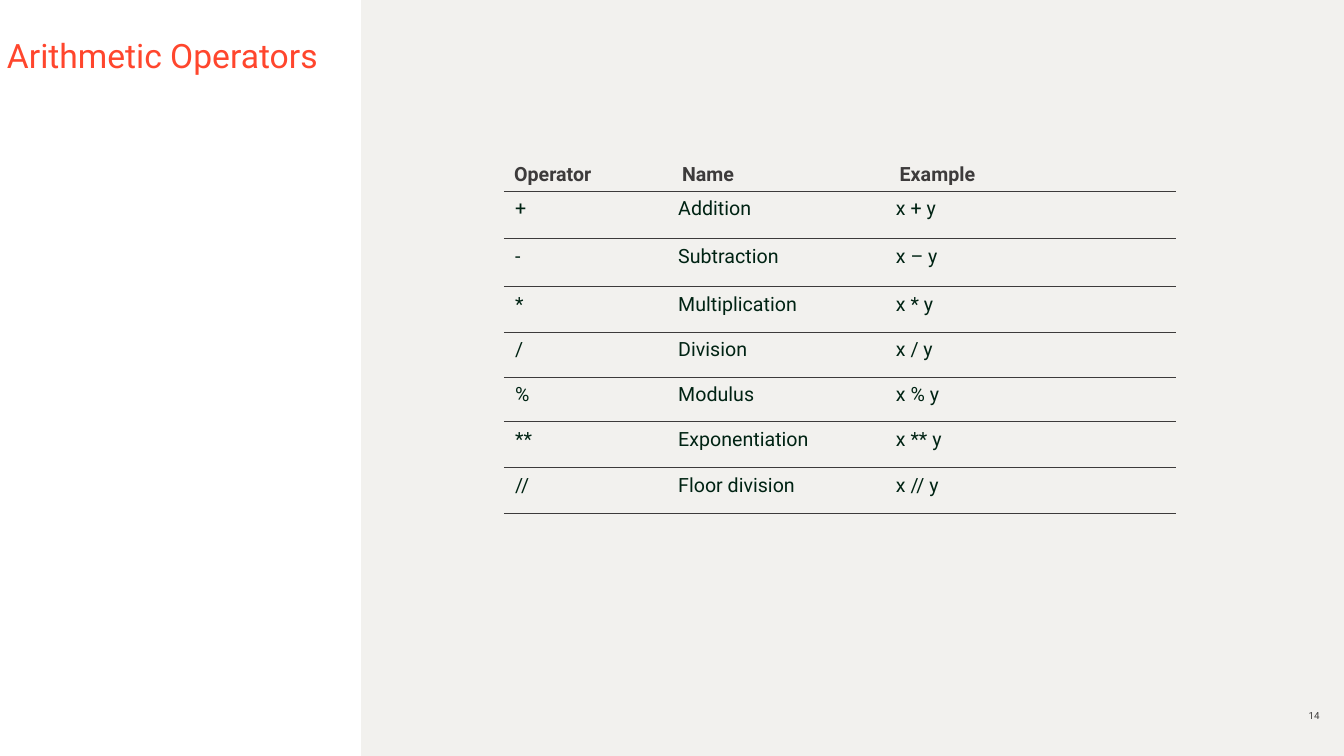
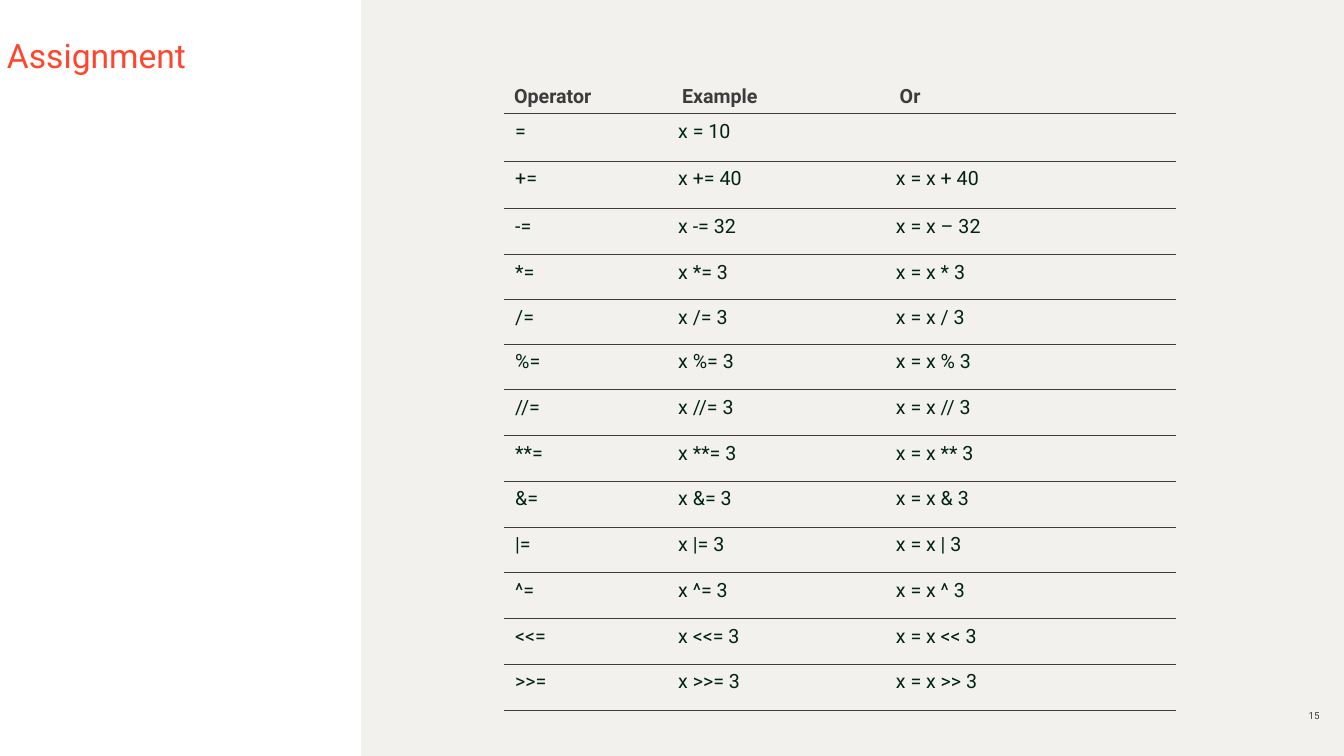
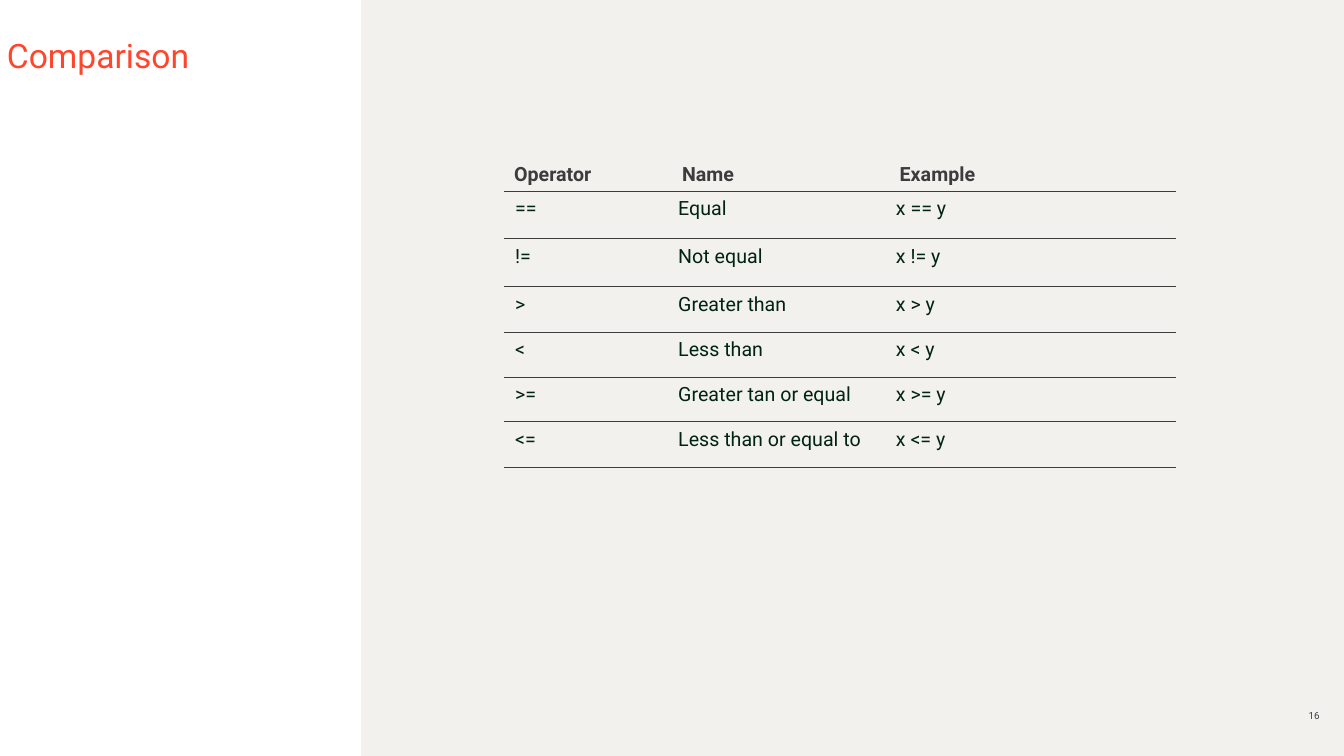
from lxml.etree import SubElement
from pptx import Presentation
from pptx.dml.color import RGBColor
from pptx.enum.shapes import MSO_SHAPE
from pptx.enum.text import MSO_ANCHOR, PP_ALIGN
from pptx.oxml.ns import qn
from pptx.util import Pt

WIDE, HIGH = 960, 540
COLORS = {"panel": "F2F1EE", "title": "FF462D", "head": "3D3B3B", "body": "002313"}
FONT = "Roboto"
PLAIN = "{2D5ABB26-0587-4C30-8999-92F81FD0307C}"  # table style without grid
COLS = [120, 155.5, 84.5, 120]
HEAD = 67.7
ROWS = [34, 34, 32.7, 32.2, 31.7]
REST = 32.7

MATH = [
    ("Operator", "Name", "Example"),
    ("+", "Addition", "x + y"),
    ("-", "Subtraction", "x – y"),
    ("*", "Multiplication", "x * y"),
    ("/", "Division", "x / y"),
    ("%", "Modulus", "x % y"),
    ("**", "Exponentiation", "x ** y"),
    ("//", "Floor division", "x // y"),
]
ASSIGN = [
    ("Operator", "Example", "Or"),
    ("=", "x = 10", ""),
    ("+=", "x += 40", "x = x + 40"),
    ("-=", "x -= 32", "x = x – 32"),
] + [
    (f"{sign}=", f"x {sign}= 3", f"x = x {sign} 3")
    for sign in ("*", "/", "%", "//", "**", "&", "|", "^", "<<", ">>")
]
COMPARE = [
    ("Operator", "Name", "Example"),
    ("==", "Equal", "x == y"),
    ("!=", "Not equal", "x != y"),
    (">", "Greater than", "x > y"),
    ("<", "Less than", "x < y"),
    (">=", "Greater tan or equal", "x >= y"),
    ("<=", "Less than or equal to", "x <= y"),
]


class Deck:
    def __init__(self):
        self.show = Presentation()
        self.show.slide_width, self.show.slide_height = Pt(WIDE), Pt(HIGH)
        self.slide = None

    def start(self, title, number):
        self.slide = self.show.slides.add_slide(self.show.slide_layouts[5])
        self.panel()
        self.title(title)
        self.number(number)

    def label(self, frame, text, size, color, bold=False, align=PP_ALIGN.LEFT):
        frame.text = text
        para = frame.paragraphs[0]
        para.alignment = align
        for run in para.runs:
            font = run.font
            font.name, font.size, font.bold = FONT, Pt(size), bold
            font.color.rgb = RGBColor.from_string(COLORS[color])

    def frame(self, shape, anchor):
        """Return the shape's text frame, wrapped and without margins."""
        frame = shape.text_frame
        frame.word_wrap = True
        frame.vertical_anchor = anchor
        frame.margin_left = frame.margin_right = 0
        frame.margin_top = frame.margin_bottom = 0
        return frame

    def panel(self):
        left = 258
        panel = self.slide.shapes.add_shape(
            MSO_SHAPE.RECTANGLE, Pt(left), 0, Pt(WIDE - left), Pt(HIGH))
        panel.shadow.inherit = False
        panel.fill.solid()
        panel.fill.fore_color.rgb = RGBColor.from_string(COLORS["panel"])
        panel.line.fill.background()
        panel.element.getparent().insert(2, panel.element)  # behind the title

    def title(self, text):
        shape = self.slide.shapes.title
        shape.left, shape.top = Pt(5), Pt(23)
        shape.width, shape.height = Pt(253), Pt(33)
        self.label(self.frame(shape, MSO_ANCHOR.MIDDLE), text, 24, "title")

    def number(self, value):
        box = self.slide.shapes.add_textbox(Pt(922), Pt(497.5), Pt(20.5), Pt(17.5))
        frame = self.frame(box, MSO_ANCHOR.BOTTOM)
        self.label(frame, str(value), 7, "head", align=PP_ALIGN.RIGHT)

    def rule(self, cell):
        """Draw the line under a cell."""
        props = cell._tc.get_or_add_tcPr()
        line = SubElement(props, qn("a:lnB"), w=str(Pt(0.75)))
        fill = SubElement(line, qn("a:solidFill"))
        SubElement(fill, qn("a:srgbClr"), val=COLORS["head"])
        props.insert(0, line)

    def cell(self, cell, text, head, first):
        cell.fill.background()
        self.rule(cell)
        if head:
            cell.vertical_anchor = MSO_ANCHOR.BOTTOM
        else:
            cell.margin_left = Pt(8 if first else 4.5)
            cell.margin_right = cell.margin_top = cell.margin_bottom = Pt(4.5)
        self.label(cell.text_frame, text, 14, "head" if head else "body", head)

    def table(self, rows, top):
        count = len(rows) - 1
        sizes = [HEAD] + (ROWS + [REST] * count)[:count]
        shape = self.slide.shapes.add_table(
            len(rows), len(COLS), Pt(360), Pt(top), Pt(sum(COLS)), Pt(sum(sizes)))
        shape.element.find(".//" + qn("a:tableStyleId")).text = PLAIN
        table = shape.table
        table.horz_banding = False
        for col, width in zip(table.columns, COLS):
            col.width = Pt(width)
        for r, (row, size) in enumerate(zip(rows, sizes)):
            table.rows[r].height = Pt(size)
            for c, text in enumerate(row + ("",)):
                self.cell(table.cell(r, c), text, r == 0, c == 0)


def main():
    deck = Deck()
    pages = [
        ("Arithmetic Operators", MATH, 69),
        ("Assignment", ASSIGN, 13.5),
        ("Comparison", COMPARE, 69),
    ]
    for number, (title, rows, top) in enumerate(pages, 14):
        deck.start(title, number)
        deck.table(rows, top)
    deck.show.save("out.pptx")


if __name__ == "__main__":
    main()
